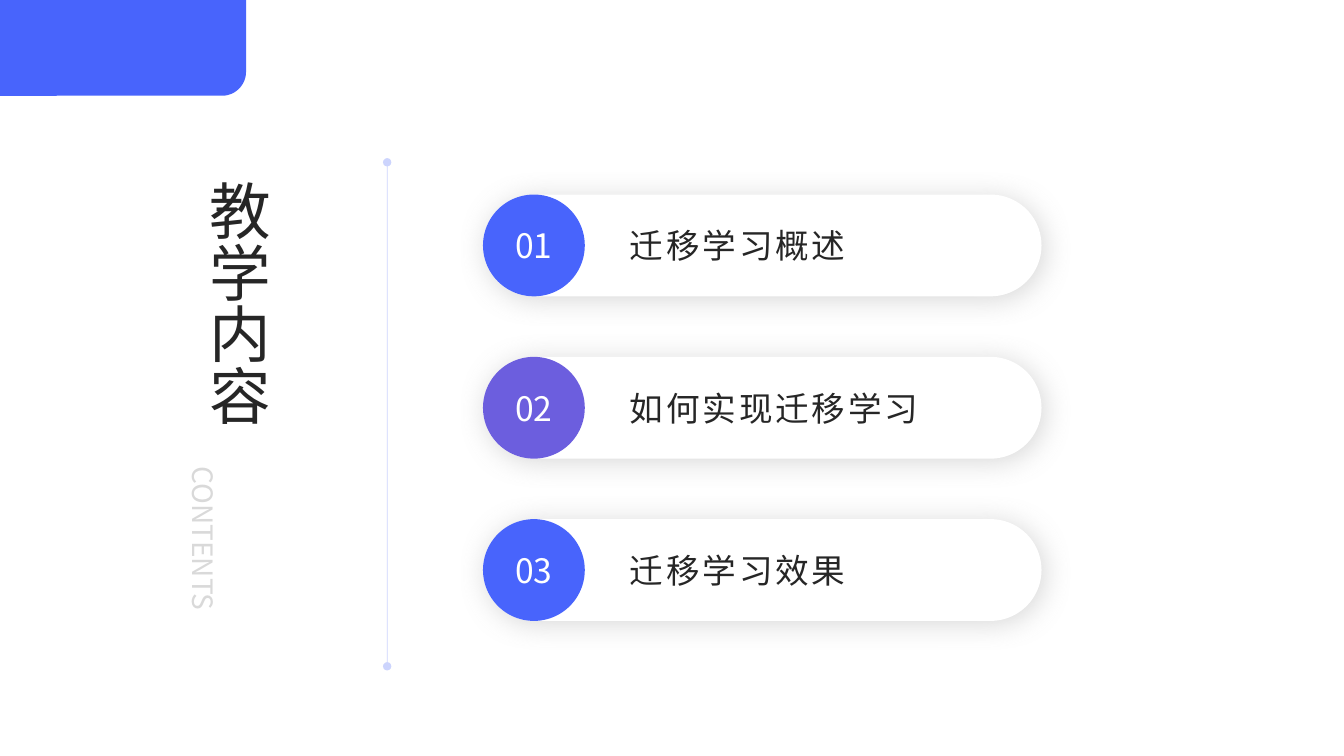
from lxml import etree
from pptx import Presentation
from pptx.dml.color import RGBColor
from pptx.enum.shapes import MSO_CONNECTOR, MSO_SHAPE
from pptx.enum.text import MSO_ANCHOR, PP_ALIGN
from pptx.oxml.ns import qn
from pptx.util import Inches, Pt

STRAIGHT = MSO_CONNECTOR.STRAIGHT
ROUND, OVAL = MSO_SHAPE.ROUNDED_RECTANGLE, MSO_SHAPE.OVAL
ONE_CORNER = MSO_SHAPE.ROUND_1_RECTANGLE
MIDDLE = MSO_ANCHOR.MIDDLE
LEFT, CENTER, JUSTIFY = PP_ALIGN.LEFT, PP_ALIGN.CENTER, PP_ALIGN.JUSTIFY

TITLE = "教学内容"
SUBTITLE = "CONTENTS"
TOPICS = [
    ("01", "迁移学习概述", "blue"),
    ("02", "如何实现迁移学习", "violet"),
    ("03", "迁移学习效果", "blue"),
]
THEME = {
    "font": "Noto Sans CJK SC",
    "blue": "4864FC", "violet": "6C5EDE", "white": "FFFFFF",
    "ink": "262626", "pale": "D9D9D9", "divider": "002AF9", "shadow": "808080",
    "title": 44, "topic": 24, "subtitle": 20,
}
PILL_LEFT, PILL_TOP, PILL_W, PILL_H, PITCH = 4.79, 1.93, 5.54, 1.01, 1.61
TOPIC_LEFT, TOPIC_W = 6.15, 3.7
CORNER_W, CORNER_H = 2.44, 0.95
DIVIDER_X, DIVIDER_TOP, DIVIDER_BOTTOM = 3.84, 1.61, 6.61


def child(parent, tag, **attrs):
    return etree.SubElement(parent, qn(tag), {k: str(v) for k, v in attrs.items()})


def add_color(parent, color, alpha):
    child(child(parent, "a:srgbClr", val=THEME[color]), "a:alpha", val=alpha * 1000)


def add_shape(s, kind, box, color):
    sp = s.shapes.add_shape(kind, *map(Inches, box))
    sp.shadow.inherit = False
    sp.fill.solid()
    sp.fill.fore_color.rgb = RGBColor.from_string(THEME[color])
    sp.line.fill.background()
    return sp


def add_shadow(sp):
    effects = sp._element.spPr.find(qn("a:effectLst"))
    shadow = child(effects, "a:outerShdw", blurRad=Pt(20), dist=Pt(3),
                   dir=45 * 60000, algn="tl", rotWithShape=0)
    add_color(shadow, "shadow", 30)


def write(sp, text, size, color, align, inset=0.0, spacing=0):
    tf = sp.text_frame
    margins = {"margin_left": inset, "margin_right": inset,
               "margin_top": 0, "margin_bottom": 0}
    for name, value in margins.items():
        setattr(tf, name, Inches(value))
    tf.word_wrap = True
    tf.vertical_anchor = MIDDLE
    p = tf.paragraphs[0]
    p.alignment = align
    r = p.add_run()
    r.text = text
    r.font.name = THEME["font"]
    r.font.size = Pt(THEME[size])
    r.font.color.rgb = RGBColor.from_string(THEME[color])
    rpr = r.font._element
    child(rpr, "a:ea", typeface=THEME["font"])
    if spacing:
        rpr.set("spc", str(spacing * 100))
    return tf


def add_vertical(s, box, text, size, color):
    sp = s.shapes.add_textbox(*map(Inches, box))
    tf = write(sp, text, size, color, LEFT)
    tf.margin_top = tf.margin_bottom = Inches(0.05)
    tf._txBody.bodyPr.set("vert", "eaVert")


def add_divider(s):
    line = s.shapes.add_connector(STRAIGHT, Inches(DIVIDER_X), Inches(DIVIDER_TOP),
                                  Inches(DIVIDER_X), Inches(DIVIDER_BOTTOM))
    line.line.width = Pt(0.5)
    ln = line.line._get_or_add_ln()
    add_color(child(ln, "a:solidFill"), "divider", 20)
    for end in ("a:headEnd", "a:tailEnd"):
        child(ln, end, type="oval")
    child(line._element.spPr, "a:effectLst")


def add_topic(s, top, number, text, color):
    pill = add_shape(s, ROUND, (PILL_LEFT, top, PILL_W, PILL_H), "white")
    pill.adjustments[0] = 0.5
    add_shadow(pill)
    badge = add_shape(s, OVAL, (PILL_LEFT, top, PILL_H, PILL_H), color)
    write(badge, number, "topic", "white", CENTER)
    label = s.shapes.add_textbox(*map(Inches, (TOPIC_LEFT, top, TOPIC_W, PILL_H)))
    write(label, text, "topic", "ink", JUSTIFY, inset=0.1, spacing=2)


def main():
    prs = Presentation()
    prs.slide_width, prs.slide_height = Inches(13.33), Inches(7.5)
    s = prs.slides.add_slide(prs.slide_layouts[6])

    add_divider(s)
    offset = (CORNER_W - CORNER_H) / 2
    corner = add_shape(s, ONE_CORNER, (offset, -offset, CORNER_H, CORNER_W), "blue")
    corner.rotation = 90
    corner.adjustments[0] = 0.25

    add_vertical(s, (1.27, 4.53, 1.5, 2.13), SUBTITLE, "subtitle", "pale")
    add_vertical(s, (1.61, 1.69, 1.5, 3.45), TITLE, "title", "ink")
    for i, topic in enumerate(TOPICS):
        add_topic(s, PILL_TOP + i * PITCH, *topic)

    prs.save("out.pptx")


if __name__ == "__main__":
    main()
